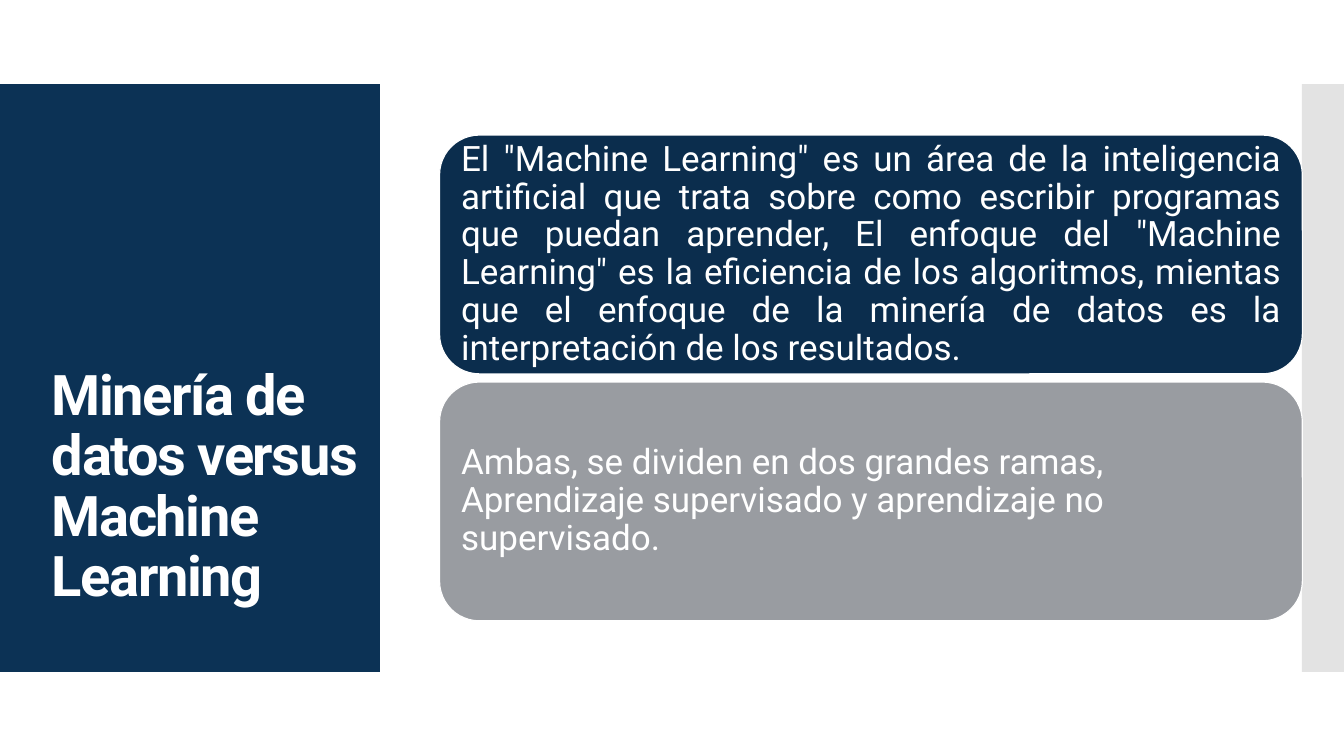
import pptx
import pptx.dml.color
import pptx.enum.shapes
import pptx.enum.text
import pptx.oxml.ns
import pptx.util
from lxml import etree

Pt = pptx.util.Pt
RGBColor = pptx.dml.color.RGBColor
Kind = pptx.enum.shapes.MSO_SHAPE
Align = pptx.enum.text.PP_ALIGN
Anchor = pptx.enum.text.MSO_ANCHOR

WHITE = RGBColor(0xFF, 0xFF, 0xFF)
NAVY = RGBColor(0x0C, 0x32, 0x55)
DEEP_NAVY = RGBColor(0x0B, 0x2D, 0x4D)
GREY = RGBColor(0x99, 0x9C, 0xA1)
SILVER = RGBColor(0xC8, 0xC8, 0xC8)
FONT = "Roboto"

TITLE = "Minería de datos versus Machine Learning"
CARDS = [
    (
        'El "Machine Learning" es un área de la inteligencia artificial que '
        "trata sobre como escribir programas que puedan aprender, El enfoque "
        'del "Machine Learning" es la eficiencia de los algoritmos, mientas '
        "que el enfoque de la minería de datos es la interpretación de los "
        "resultados.",
        DEEP_NAVY,
        Align.JUSTIFY,
    ),
    (
        "Ambas, se dividen en dos grandes ramas, Aprendizaje supervisado y "
        "aprendizaje no supervisado.",
        GREY,
        Align.LEFT,
    ),
]
CARD_TOP = 96.5
CARD_PITCH = 176.4


def add_block(page, kind, left, top, width, height, color):
    """Add a filled preset shape without outline or shadow."""
    block = page.shapes.add_shape(kind, Pt(left), Pt(top), Pt(width), Pt(height))
    block.shadow.inherit = False
    block.fill.solid()
    block.fill.fore_color.rgb = color
    block.line.fill.background()
    return block


def set_opacity(block, percent):
    """Make the solid fill of a shape partly transparent."""
    color = block.fill._xPr.find(".//" + pptx.oxml.ns.qn("a:srgbClr"))
    alpha = etree.SubElement(color, pptx.oxml.ns.qn("a:alpha"))
    alpha.set("val", str(percent * 1000))


def write_text(box, text, size, align, anchor):
    """Write one white paragraph into a shape and return its run."""
    frame = box.text_frame
    frame.word_wrap = True
    frame.vertical_anchor = anchor
    para = frame.paragraphs[0]
    para.alignment = align
    para.line_spacing = 0.9
    span = para.add_run()
    span.text = text
    span.font.name = FONT
    span.font.size = Pt(size)
    span.font.color.rgb = WHITE
    return span


def add_title(page):
    """Add the bold title, which sits at the bottom of the left panel."""
    box = page.shapes.add_textbox(Pt(30), Pt(366.5), Pt(232.6), Pt(72))
    span = write_text(box, TITLE, 40, Align.LEFT, Anchor.BOTTOM)
    span.font.bold = True
    span.font._element.set("spc", "-100")


def add_card(page, top, text, color, align):
    """Add a rounded card with its text."""
    card = add_block(page, Kind.ROUNDED_RECTANGLE, 314, top, 616.3, 170.6, color)
    card.line.color.rgb = WHITE
    card.line.width = Pt(0.85)
    frame = card.text_frame
    frame.margin_left = frame.margin_right = Pt(7.2)
    frame.margin_top = frame.margin_bottom = Pt(7.2)
    write_text(card, text, 25, align, Anchor.MIDDLE)


def main():
    """Build the slide and save it."""
    deck = pptx.Presentation()
    deck.slide_width = Pt(960)
    deck.slide_height = Pt(540)
    page = deck.slides.add_slide(deck.slide_layouts[6])
    add_block(page, Kind.RECTANGLE, 0, 60, 271.4, 420, NAVY)
    side_strip = add_block(page, Kind.RECTANGLE, 930, 60, 30, 420, SILVER)
    set_opacity(side_strip, 50)
    add_title(page)
    for index, (text, color, align) in enumerate(CARDS):
        add_card(page, CARD_TOP + index * CARD_PITCH, text, color, align)
    deck.save("out.pptx")


if __name__ == "__main__":
    main()
